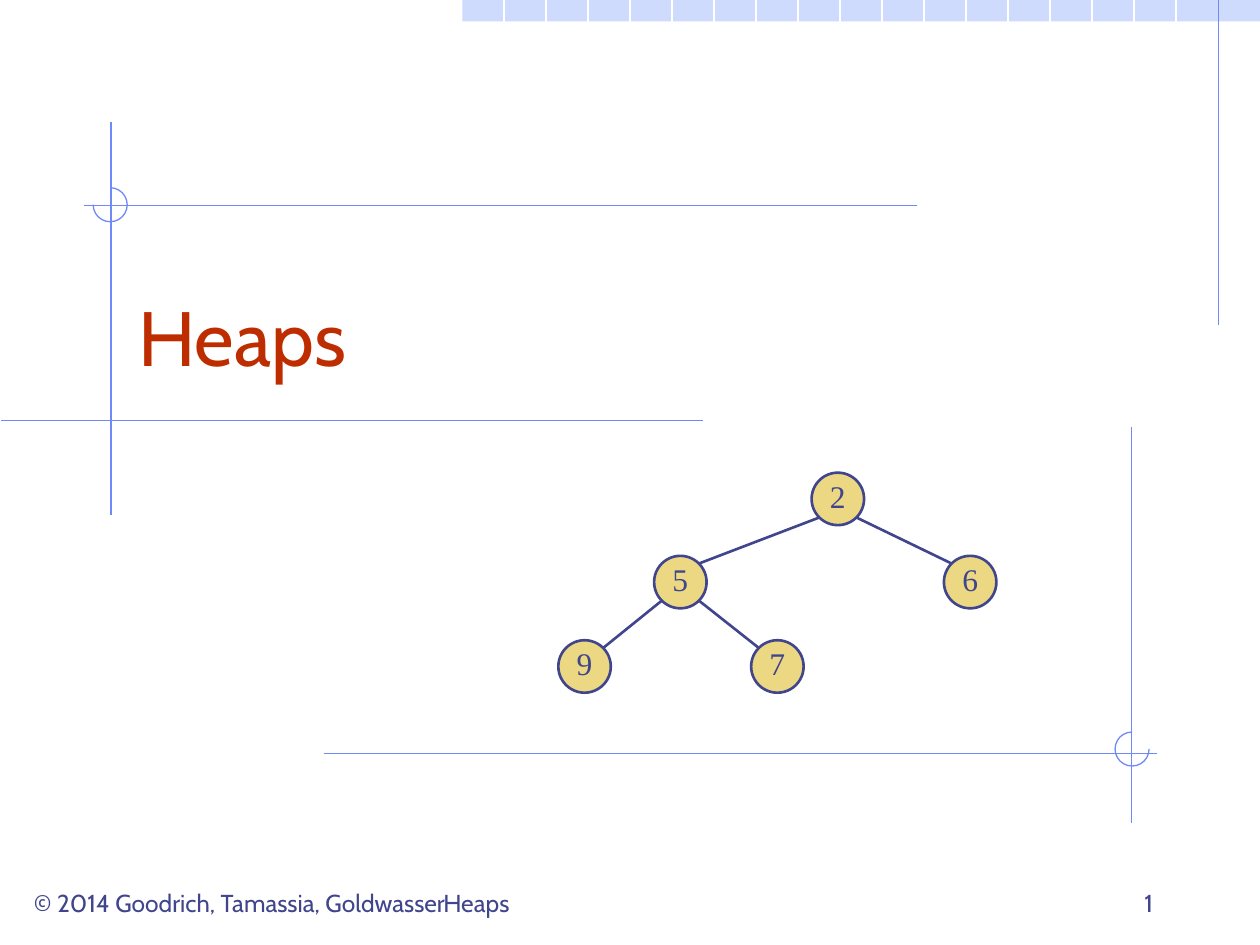
from math import sqrt

from pptx import Presentation
from pptx.dml.color import RGBColor
from pptx.enum.shapes import MSO_CONNECTOR as Connector, MSO_SHAPE as Shape
from pptx.enum.text import MSO_ANCHOR as Anchor, PP_ALIGN as Align
from pptx.oxml.ns import qn
from pptx.util import Inches, Pt
from lxml.etree import SubElement

WHITE = RGBColor(0xFF, 0xFF, 0xFF)
PALE_BLUE = RGBColor(0xCF, 0xDB, 0xFD)
RULE_BLUE = RGBColor(0x6F, 0x89, 0xF7)
INDIGO = RGBColor(0x40, 0x45, 0x8C)
RUST = RGBColor(0xBE, 0x2D, 0x00)
GOLD = RGBColor(0xEC, 0xD8, 0x82)

NODE_SIZE = 5 / 12
TREE_CENTERS = {
    "2": (6.65, 3.96),
    "6": (7.7, 4.62),
    "5": (5.4, 4.62),
    "7": (6.17, 5.29),
    "9": (4.64, 5.29),
}
TREE_EDGES = [("2", "5"), ("2", "6"), ("5", "9"), ("5", "7")]
FRAME_RULES = [
    (9.67, 0, 9.67, 2.58),
    (0.88, 0.97, 0.88, 4.09),
    (5.58, 3.34, 0.01, 3.34),
    (7.28, 1.63, 0.67, 1.63),
    (2.57, 5.98, 9.18, 5.98),
    (8.98, 3.39, 8.98, 6.53),
]


def write_text(holder, text, size=14, font="Cabin", color=INDIGO,
               align=Align.LEFT, anchor=Anchor.BOTTOM, wrap=True):
    """Put one formatted paragraph into a shape."""
    frame = holder.text_frame
    frame.word_wrap = wrap
    frame.vertical_anchor = anchor
    paragraph = frame.paragraphs[0]
    paragraph.alignment = align
    run = paragraph.add_run()
    run.text = text
    run.font.size = Pt(size)
    run.font.name = font
    run.font.color.rgb = color


def place(holder, left, top, width, height):
    """Move and size a shape in inches."""
    holder.left, holder.top = Inches(left), Inches(top)
    holder.width, holder.height = Inches(width), Inches(height)


def add_line(slide, x1, y1, x2, y2, color=RULE_BLUE, weight=0.75):
    """Draw a straight line without shadow."""
    line = slide.shapes.add_connector(
        Connector.STRAIGHT, Inches(x1), Inches(y1), Inches(x2), Inches(y2))
    line.line.color.rgb = color
    line.line.width = Pt(weight)
    SubElement(line._element.spPr, qn("a:effectLst"))


def add_figure(slide, preset, box, fill=None, outline=None, weight=0.75):
    """Draw a preset shape with optional fill and outline."""
    figure = slide.shapes.add_shape(preset, *map(Inches, box))
    figure.shadow.inherit = False
    if fill is None:
        figure.fill.background()
    else:
        figure.fill.solid()
        figure.fill.fore_color.rgb = fill
    if outline is None:
        figure.line.fill.background()
    else:
        figure.line.color.rgb = outline
        figure.line.width = Pt(weight)
    return figure


def add_corner_arc(slide, left, top, start, end):
    """Draw a three-quarter circle clockwise between two angles in degrees."""
    arc = add_figure(slide, Shape.ARC, (left, top, 0.27, 0.27), outline=RULE_BLUE)
    arc.adjustments[0] = start * 0.6
    arc.adjustments[1] = end * 0.6


def add_node(slide, key):
    """Draw one heap entry as a circle with its key."""
    x, y = TREE_CENTERS[key]
    box = (x - NODE_SIZE / 2, y - NODE_SIZE / 2, NODE_SIZE, NODE_SIZE)
    node = add_figure(slide, Shape.OVAL, box, GOLD, INDIGO, 1.5)
    frame = node.text_frame
    frame.margin_left = frame.margin_right = frame.margin_top = 0
    frame.margin_bottom = Inches(0.05)
    write_text(node, key, size=18, font="Times New Roman",
               align=Align.CENTER, anchor=Anchor.MIDDLE, wrap=False)


def add_edge(slide, parent, child):
    """Join the facing diagonal points of two heap entries."""
    (px, py), (cx, cy) = TREE_CENTERS[parent], TREE_CENTERS[child]
    diagonal = NODE_SIZE / 2 / sqrt(2)
    shift = diagonal if cx > px else -diagonal
    add_line(slide, px + shift, py + diagonal, cx - shift, cy - diagonal, INDIGO, 1.5)


def add_frame(slide):
    """Draw the divided top band, the thin rules and the corner arcs."""
    add_figure(slide, Shape.RECTANGLE, (3.67, 0, 6.33, 0.17), PALE_BLUE)
    for third in range(12, 29):
        add_line(slide, third / 3, 0, third / 3, 7.5, WHITE)
    for rule in FRAME_RULES:
        add_line(slide, *rule)
    add_corner_arc(slide, 0.74, 1.49, 270, 180)
    add_corner_arc(slide, 8.85, 5.81, 0, 270)


def add_footer(slide, text, left, width, align=Align.LEFT):
    """Write one text of the bottom row."""
    footer = slide.shapes.add_textbox(
        Inches(left), Inches(6.83), Inches(width), Inches(0.5))
    write_text(footer, text, align=align)


def main():
    """Build the heap title slide."""
    deck = Presentation()
    deck.slide_width, deck.slide_height = Inches(10), Inches(7.5)
    slide = deck.slides.add_slide(deck.slide_layouts[0])
    title, subtitle = slide.placeholders
    subtitle.element.getparent().remove(subtitle.element)

    add_frame(slide)
    add_footer(slide, "Heaps", 3.42, 3.17)
    add_footer(slide, "1", 7.17, 2.08, Align.RIGHT)
    slide.shapes._spTree.append(title.element)
    place(title, 1, 1.83, 8.5, 1.25)
    write_text(title, "Heaps", size=44, color=RUST)
    for parent, child in TREE_EDGES:
        add_edge(slide, parent, child)
    for key in TREE_CENTERS:
        add_node(slide, key)
    add_footer(slide, "© 2014 Goodrich, Tamassia, Goldwasser", 0.17, 3.75)
    deck.save("out.pptx")


if __name__ == "__main__":
    main()
